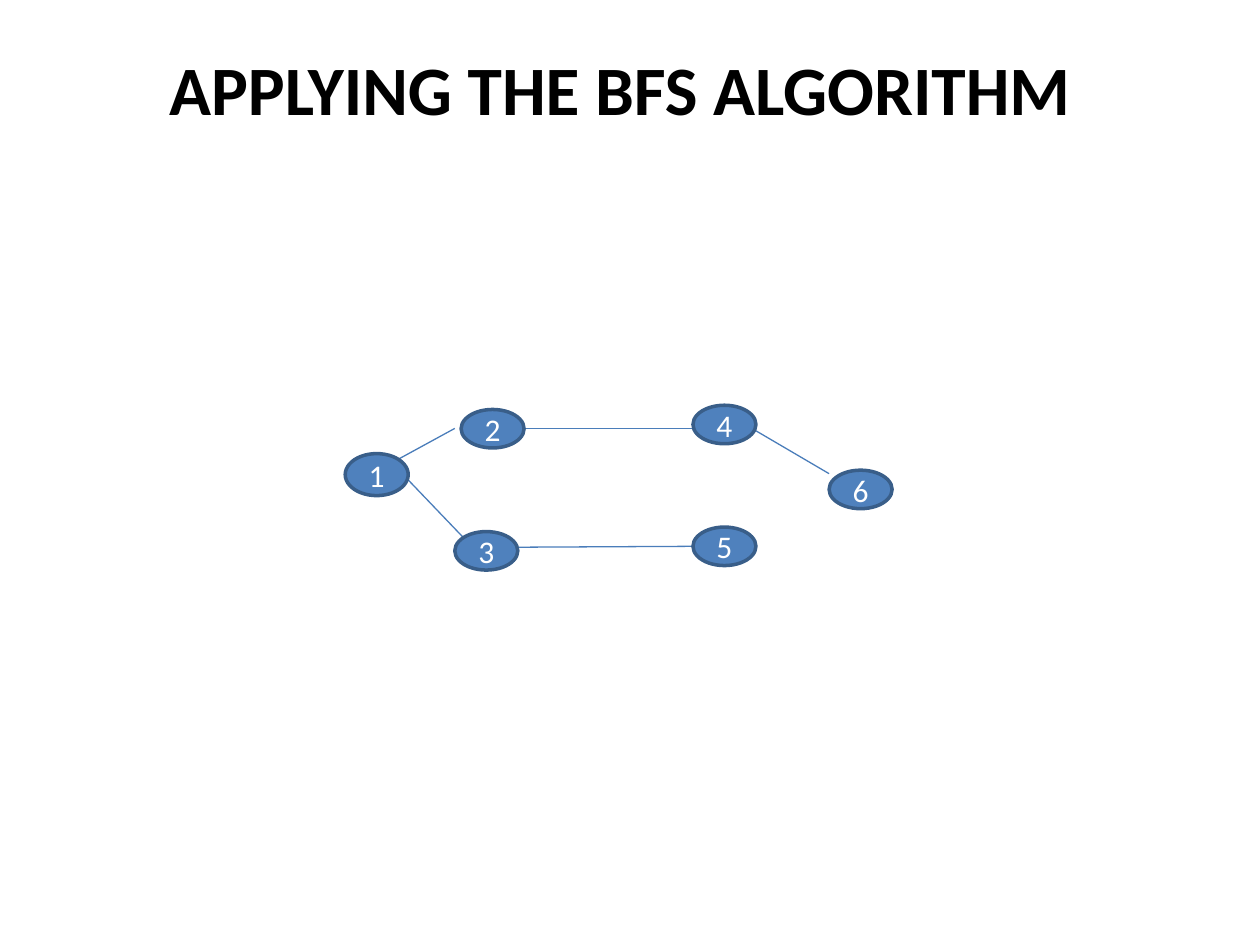
from lxml.etree import SubElement
from pptx import Presentation
from pptx.dml.color import RGBColor
from pptx.enum.shapes import MSO_CONNECTOR as Connector, MSO_SHAPE as Shape
from pptx.enum.text import MSO_ANCHOR as Anchor, PP_ALIGN as Align
from pptx.oxml.ns import qn
from pptx.util import Pt

COLORS = {"title": "000000", "node": "4F81BD", "outline": "395E89",
          "edge": "4A7DBA", "label": "FFFFFF"}


def color(name):
    return RGBColor.from_string(COLORS[name])


def write_text(shape, text, size, color_name, bold=False):
    frame = shape.text_frame
    frame.word_wrap = True
    frame.vertical_anchor = Anchor.MIDDLE
    paragraph = frame.paragraphs[0]
    paragraph.alignment = Align.CENTER
    run = paragraph.add_run()
    run.text = text
    run.font.name = "Calibri"
    run.font.size = Pt(size)
    run.font.bold = bold
    run.font.color.rgb = color(color_name)


presentation = Presentation()
presentation.slide_width, presentation.slide_height = Pt(720), Pt(540)
slide = presentation.slides.add_slide(presentation.slide_layouts[5])

# Title
title = slide.shapes.title
title.left, title.top, title.width, title.height = Pt(30.24), Pt(26.64), Pt(648), Pt(47.5)
write_text(title, "APPLYING THE BFS ALGORITHM", 39.6, "title", bold=True)

# Graph edges: start x, start y, end x, end y
edges = [
    (228.2, 262.1, 259.9, 244.8),  # 1 to 2
    (233.3, 274.3, 265, 307.4),    # 1 to 3
    (299.5, 244.8, 396, 244.8),    # 2 to 4
    (295.9, 312.7, 396, 312.2),    # 3 to 5
    (432, 246.2, 473.8, 270.7),    # 4 to 6
]
for points in edges:
    edge = slide.shapes.add_connector(Connector.STRAIGHT, *map(Pt, points))
    edge.line.color.rgb = color("edge")
    edge.line.width = Pt(0.75)
    SubElement(edge._element.spPr, qn("a:effectLst"))

# Graph nodes: left, top, height
nodes = {
    "1": (197.3, 259.2, 24),
    "2": (263.5, 234, 22),
    "3": (259.9, 303.8, 22),
    "4": (396, 231.6, 22),
    "5": (396, 301.2, 22),
    "6": (473.8, 268.7, 22),
}
for label, (left, top, height) in nodes.items():
    node = slide.shapes.add_shape(Shape.OVAL, Pt(left), Pt(top), Pt(36), Pt(height))
    node.shadow.inherit = False
    node.fill.solid()
    node.fill.fore_color.rgb = color("node")
    node.line.color.rgb = color("outline")
    node.line.width = Pt(2)
    write_text(node, label, 18, "label")

presentation.save("out.pptx")
